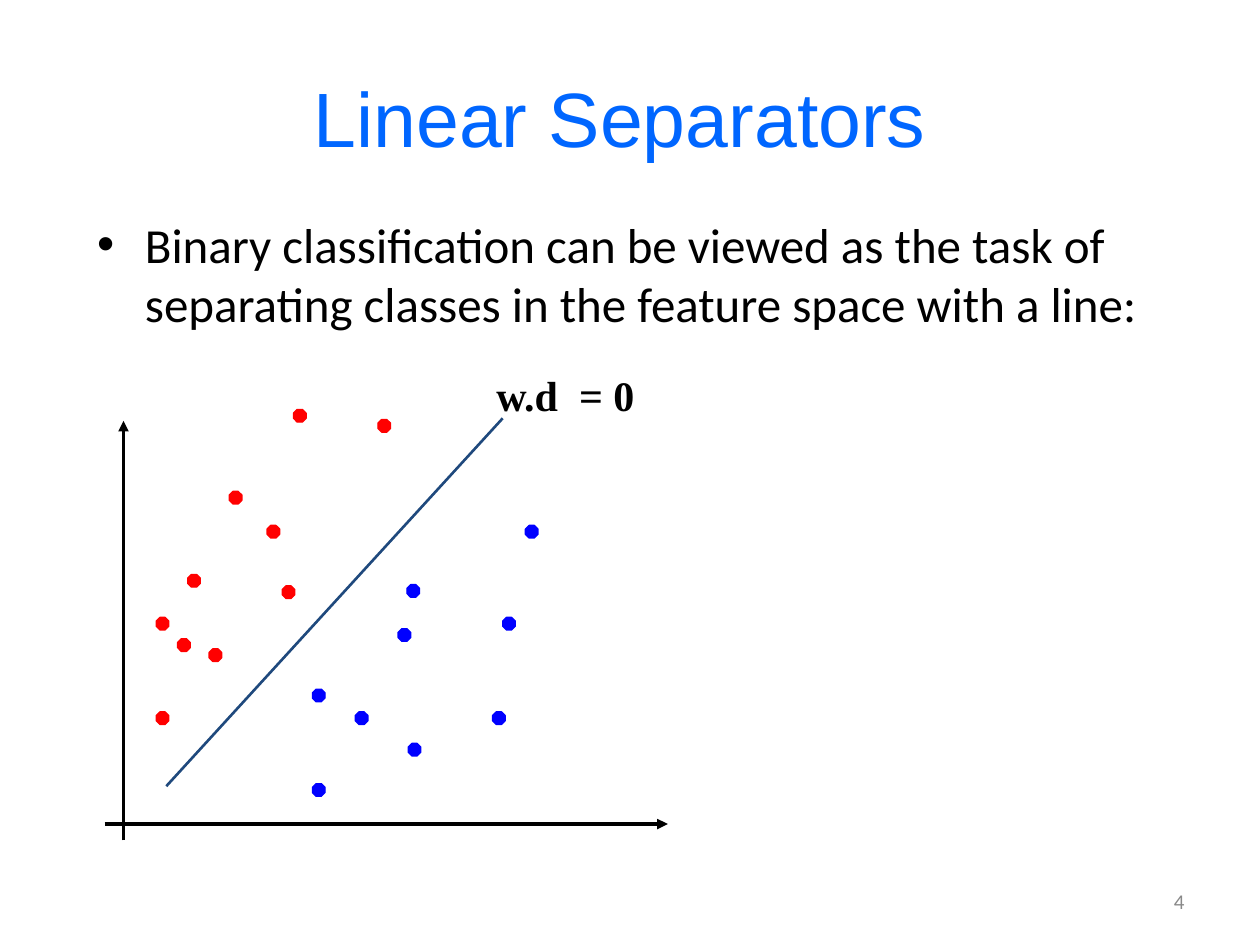
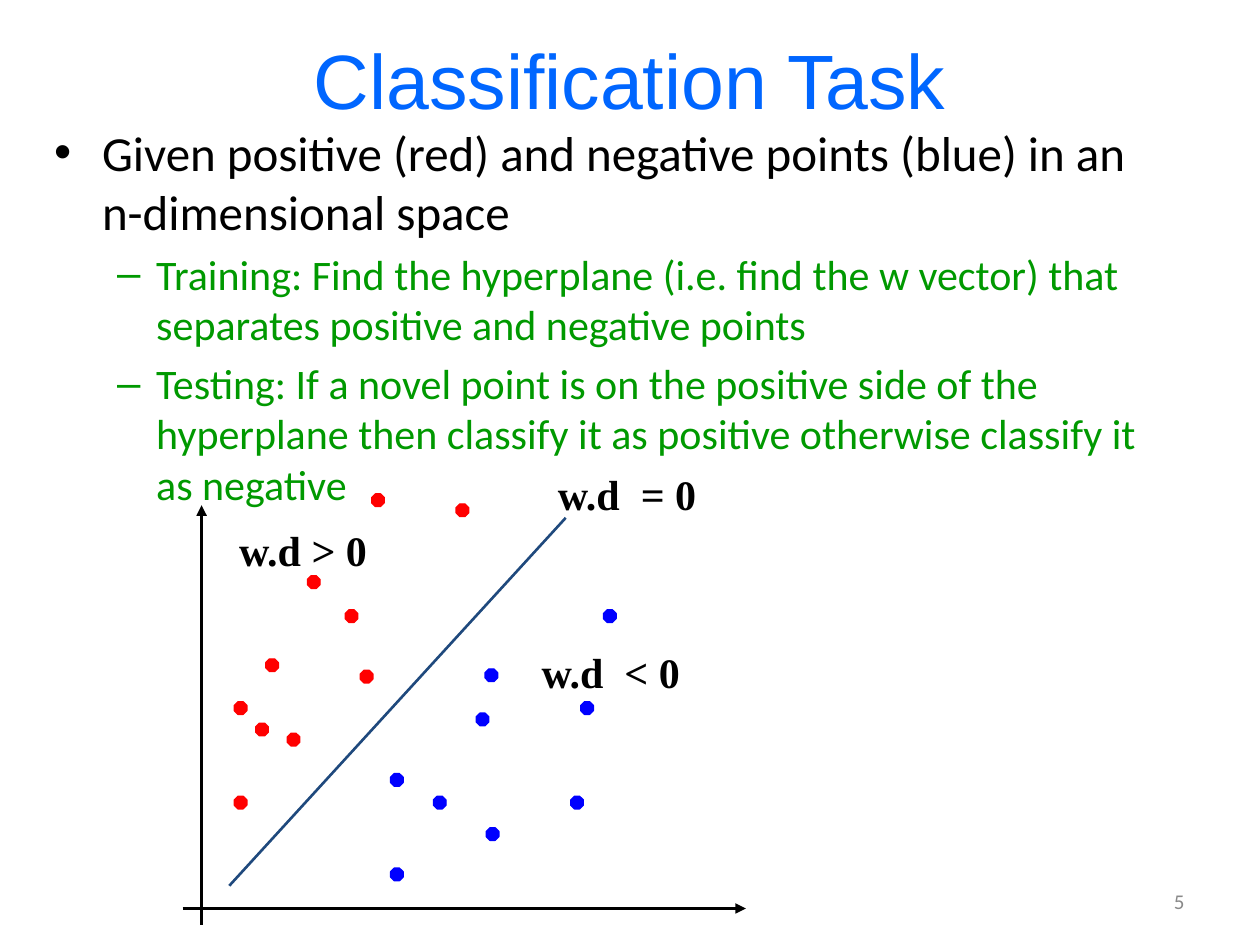
from dataclasses import dataclass

from lxml import etree
from pptx import Presentation
from pptx import util as u
from pptx.dml.color import RGBColor
from pptx.enum import shapes, text
from pptx.oxml.ns import qn


@dataclass(frozen=True)
class Theme:
    title: str = "0066FF"
    ink: str = "000000"
    sub: str = "009900"
    red: str = "FF0000"
    blue: str = "0000FF"
    split: str = "1F497D"
    grey: str = "898989"
    head: str = "Arial"
    body: str = "Calibri"
    math: str = "Times New Roman"
    title_size: int = 44
    body_size: int = 28
    sub_size: int = 24
    page_size: int = 12


T = Theme()
DOT = 0.1
# Top left corners of the dots, measured on a plot with no shift.
RED = [(2.12, 4.17), (1.49, 4.56), (1.66, 5.15), (1.24, 5.65), (1.82, 3.9),
       (1.24, 4.9), (1.41, 5.07), (2.24, 4.65), (2.33, 3.25), (3, 3.33)]
BLUE = [(3.23, 4.64), (2.82, 5.65), (3.91, 5.65), (2.48, 6.22), (3.16, 4.99),
        (2.48, 5.47), (3.24, 5.9), (3.99, 4.9), (4.17, 4.17)]
AXES = [((0.98, 6.67), (0.98, 3.34)), ((0.83, 6.54), (5.3, 6.54))]
SPLIT = (2.67, -2.92)
# Per level: left margin, hanging indent, bullet, size, colour.
LEVELS = [(0.38, -0.38, "•", T.body_size, T.ink),
          (0.81, -0.31, "–", T.sub_size, T.sub)]


def rgb(code):
    return RGBColor.from_string(code)


def add_run(par, words, size, face, color, bold=False):
    run = par.add_run()
    run.text = words
    run.font.size = u.Pt(size)
    run.font.name = face
    run.font.bold = bold
    run.font.color.rgb = rgb(color)


def place(shape, left, top, width, height):
    shape.left, shape.top = u.Inches(left), u.Inches(top)
    shape.width, shape.height = u.Inches(width), u.Inches(height)


def set_title(slide, words, left, top):
    shape = slide.shapes.title
    place(shape, left, top, 9, 1.25)
    frame = shape.text_frame
    frame.auto_size = text.MSO_AUTO_SIZE.NONE
    frame.vertical_anchor = text.MSO_ANCHOR.MIDDLE
    par = frame.paragraphs[0]
    par.alignment = text.PP_ALIGN.CENTER
    add_run(par, words, T.title_size, T.head, T.title)


def set_bullet(par, left, indent, mark):
    props = par._p.get_or_add_pPr()
    props.set("marL", str(u.Inches(left)))
    props.set("indent", str(u.Inches(indent)))
    etree.SubElement(props, qn("a:buFont")).set("typeface", T.head)
    etree.SubElement(props, qn("a:buChar")).set("char", mark)


def set_body(slide, box, items):
    """Fill the body with (level, words) items."""
    shape = slide.placeholders[1]
    place(shape, *box)
    frame = shape.text_frame
    frame.auto_size = text.MSO_AUTO_SIZE.NONE
    for i, (level, words) in enumerate(items):
        par = frame.add_paragraph() if i else frame.paragraphs[0]
        left, indent, mark, size, color = LEVELS[level]
        par.level = level
        set_bullet(par, left, indent, mark)
        par.space_before = u.Pt(0.2 * size if i else 0)
        add_run(par, words, size, T.body, color)


def add_box(slide, left, top, width, height):
    box = slide.shapes.add_textbox(*map(u.Inches, (left, top, width, height)))
    box.text_frame.word_wrap = True
    return box.text_frame


def add_label(slide, words, left, top):
    par = add_box(slide, left, top, 2.92, 0.5).paragraphs[0]
    add_run(par, words, T.sub_size, T.math, T.ink, bold=True)


def add_page(slide, number):
    frame = add_box(slide, 7.17, 6.95, 2.33, 0.4)
    frame.vertical_anchor = text.MSO_ANCHOR.MIDDLE
    par = frame.paragraphs[0]
    par.alignment = text.PP_ALIGN.RIGHT
    add_run(par, str(number), T.page_size, T.body, T.grey)


def add_line(slide, start, end, color, width, arrow=False):
    line = slide.shapes.add_connector(
        shapes.MSO_CONNECTOR.STRAIGHT, *map(u.Inches, (*start, *end)))
    line.line.color.rgb = rgb(color)
    line.line.width = u.Pt(width)
    props = line._element.spPr
    if arrow:
        tail = etree.SubElement(props.find(qn("a:ln")), qn("a:tailEnd"))
        tail.set("type", "triangle")
    etree.SubElement(props, qn("a:effectLst"))


def add_dot(slide, left, top, color):
    dot = slide.shapes.add_shape(
        shapes.MSO_SHAPE.OCTAGON, *map(u.Inches, (left, top, DOT, DOT)))
    dot.shadow.inherit = False
    dot.fill.solid()
    dot.fill.fore_color.rgb = rgb(color)
    dot.line.color.rgb = rgb(color)
    dot.line.width = u.Pt(0.75)


def add_plot(slide, shift, foot):
    """Draw axes and dots moved by shift, and the separator up from foot."""
    def move(point):
        return point[0] + shift[0], point[1] + shift[1]

    for start, end in AXES:
        add_line(slide, move(start), move(end), T.ink, 2, arrow=True)
    for color, dots in ((T.red, RED), (T.blue, BLUE)):
        for dot in dots:
            add_dot(slide, *move(dot), color)
    top = foot[0] + SPLIT[0], foot[1] + SPLIT[1]
    add_line(slide, foot, top, T.split, 1.5)


def main():
    prs = Presentation()
    prs.slide_width, prs.slide_height = u.Inches(10), u.Inches(7.5)
    layout = prs.slide_layouts[1]

    slide = prs.slides.add_slide(layout)
    set_title(slide, "Linear Separators", 0.42, 0.3)
    set_body(slide, (0.67, 1.65, 9, 5.5), [
        (0, "Binary classification can be viewed as the task of separating "
            "classes in the feature space with a line:")])
    add_plot(slide, (0, 0), (1.32, 6.24))
    add_label(slide, "w.d  = 0", 3.84, 2.88)
    add_page(slide, 4)

    slide = prs.slides.add_slide(layout)
    set_title(slide, "Classification Task", 0.5, 0)
    set_body(slide, (0.33, 0.92, 9, 5.67), [
        (0, "Given positive (red) and negative points (blue) in an "
            "n-dimensional space"),
        (1, "Training: Find the hyperplane (i.e. find the w vector) that "
            "separates positive and negative points"),
        (1, "Testing: If a novel point is on the positive side of the "
            "hyperplane then classify it as positive otherwise classify it "
            "as negative")])
    add_plot(slide, (0.62, 0.67), (1.82, 7.03))
    add_label(slide, "w.d  = 0", 4.33, 3.67)
    add_label(slide, "w.d  < 0", 4.2, 5.08)
    add_label(slide, "w.d > 0", 1.8, 4.11)
    add_page(slide, 5)

    prs.save("out.pptx")


if __name__ == "__main__":
    main()
